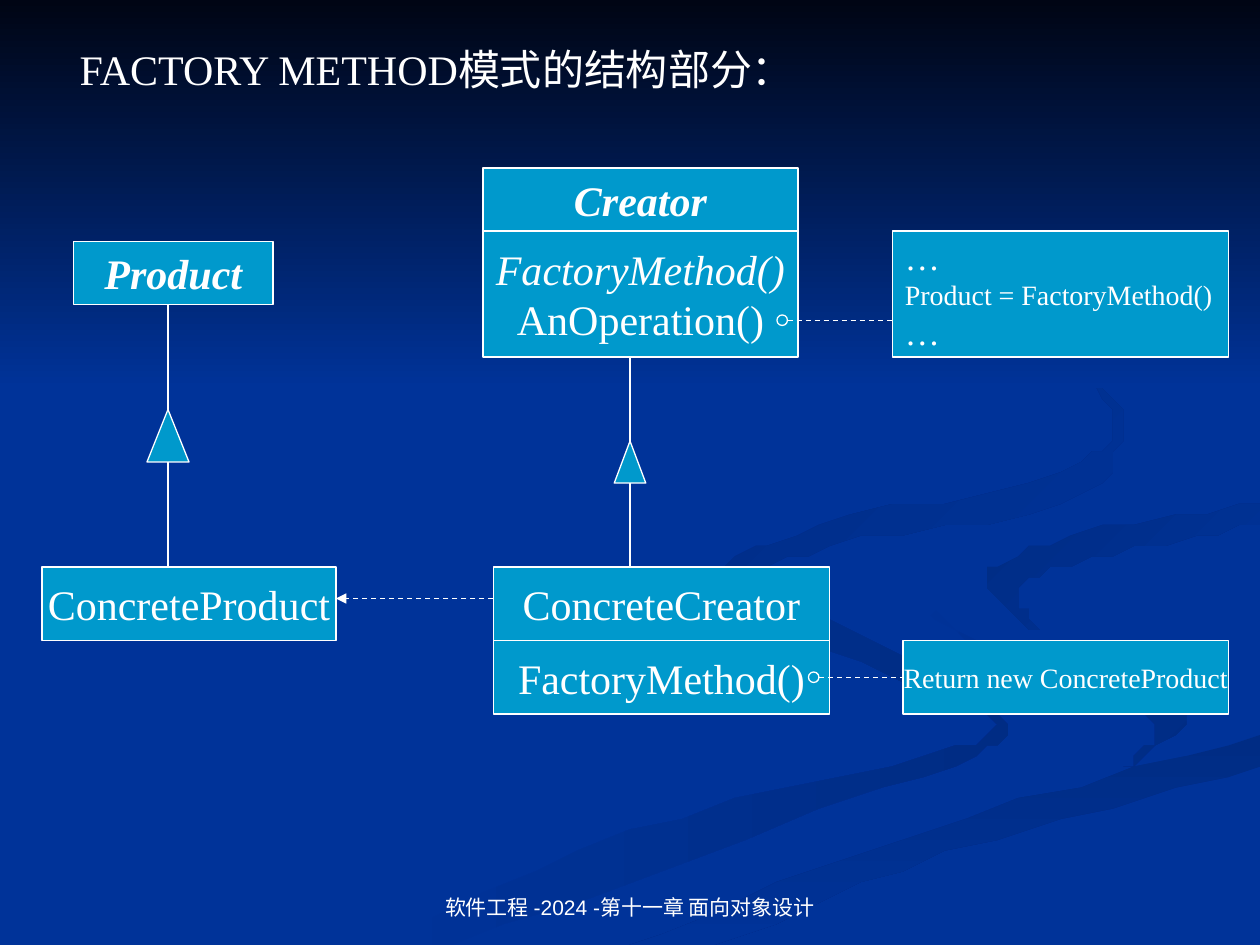
from dataclasses import dataclass

from pptx import Presentation
from pptx import util as u
from pptx.dml.color import RGBColor
from pptx.enum import dml, shapes, text
from pptx.oxml import ns
from lxml import etree

COLUMNS, ROWS = 120, 90  # the layout grid
CELL = u.Inches(10) / COLUMNS


@dataclass(frozen=True)
class Theme:
    ground: str = "003399"
    night: str = "000514"
    shade: str = "002C84"
    panel: str = "0099CC"
    ink: str = "FFFFFF"
    serif: str = "Times New Roman"
    sans: str = "Arial"
    large: int = 24
    dots: int = 20
    note: int = 16
    footer: int = 12
    stroke: float = 0.75


THEME = Theme()


def cells(*numbers):
    return [u.Emu(round(number * CELL)) for number in numbers]


def rgb(value):
    return RGBColor.from_string(value)


def smooth(knots, steps=6):
    """Closed Catmull-Rom curve through the knots, kept on the grid."""
    curve = []
    for index in range(len(knots)):
        around = [knots[(index + shift) % len(knots)] for shift in (-1, 0, 1, 2)]
        for step in range(steps):
            t = step / steps
            point = [
                b + t * (c - a + t * (2 * a - 5 * b + 4 * c - d
                                      + t * (3 * b - 3 * c + d - a))) / 2
                for a, b, c, d in zip(*around)]
            curve.append((min(point[0], COLUMNS), min(point[1], ROWS)))
    return curve


def fade(shape, first, last, angle):
    """Gradient fill; the angle runs counter-clockwise."""
    shape.shadow.inherit = False
    shape.line.fill.background()
    shape.fill.gradient()
    shape.fill.gradient_angle = angle
    for stop, color in zip(shape.fill.gradient_stops, (first, last)):
        stop.color.rgb = rgb(color)


def add_ribbon(page, knots, colors, angle):
    outline = smooth(knots)
    builder = page.shapes.build_freeform(*outline[0], scale=CELL)
    builder.add_line_segments(outline[1:], close=True)
    fade(builder.convert_to_shape(), *colors, angle)


def add_backdrop(page):
    page.background.fill.solid()
    page.background.fill.fore_color.rgb = rgb(THEME.ground)
    emerging, fading = (THEME.ground, THEME.shade), (THEME.shade, THEME.ground)
    add_ribbon(page, [(36, 90), (60, 79), (88, 72), (94, 68), (76, 61), (69, 55),
                      (90, 65), (96, 70), (84, 75), (43, 90)], emerging, 0)
    add_ribbon(page, [(113, 68), (104, 64), (91, 60), (87, 56), (92, 61),
                      (104, 65), (110, 70), (107, 73)], emerging, 315)
    add_ribbon(page, [(60, 90), (92, 78), (120, 70), (120, 73), (90, 81), (68, 90)],
               fading, 270)
    add_ribbon(page, [(94, 55), (99, 60), (97, 56), (106, 53), (120, 50), (120, 48),
                      (102, 51)], fading, 315)
    add_ribbon(page, [(91, 28), (103, 35), (107, 41), (101, 48), (79, 52), (71, 56),
                      (75, 60), (69, 55), (78, 50), (101, 45), (106, 40), (101, 33)],
               fading, 315)
    sky = page.shapes.add_shape(shapes.MSO_SHAPE.RECTANGLE, *cells(0, 0, COLUMNS, 37))
    fade(sky, THEME.night, THEME.ground, 270)


def write(frame, lines, align, face=THEME.serif, wrap=False):
    """Fill a frame with (words, size, style) lines; style may hold b and i."""
    frame.word_wrap = wrap
    for index, (words, size, style) in enumerate(lines):
        para = frame.paragraphs[0] if index == 0 else frame.add_paragraph()
        para.text = words
        para.alignment = align
        for span in para.runs:
            span.font.name, span.font.size = face, u.Pt(size)
            span.font.bold, span.font.italic = "b" in style, "i" in style
            span.font.color.rgb = rgb(THEME.ink)


def add_label(page, area, words, size, align, **options):
    box = page.shapes.add_textbox(*cells(*area))
    write(box.text_frame, [(words, size, "")], align, **options)
    return box


def add_panel(page, kind, *area):
    panel = page.shapes.add_shape(kind, *cells(*area))
    panel.shadow.inherit = False
    panel.fill.solid()
    panel.fill.fore_color.rgb = rgb(THEME.panel)
    panel.line.color.rgb = rgb(THEME.ink)
    panel.line.width = u.Pt(THEME.stroke)


    return panel


def add_class_box(page, area, lines, align=text.PP_ALIGN.CENTER):
    box = add_panel(page, shapes.MSO_SHAPE.RECTANGLE, *area)
    box.text_frame.vertical_anchor = text.MSO_ANCHOR.MIDDLE
    write(box.text_frame, lines, align)


def add_link(page, start, end, dashed=False, arrow=False):
    link = page.shapes.add_connector(shapes.MSO_CONNECTOR.STRAIGHT, *cells(*start, *end))
    link.line.color.rgb = rgb(THEME.ink)
    link.line.width = u.Pt(THEME.stroke)
    if dashed:
        link.line.dash_style = dml.MSO_LINE.DASH
    properties = link._element.spPr
    if arrow:
        outline = properties.find(ns.qn("a:ln"))
        etree.SubElement(outline, ns.qn("a:tailEnd"), type="triangle")
    etree.SubElement(properties, ns.qn("a:effectLst"))


def add_inheritance(page, x, parent, child, top, width, height):
    """Vertical link from parent row to child row, broken by a triangle."""
    add_link(page, (x, parent), (x, top))
    add_panel(page, shapes.MSO_SHAPE.ISOSCELES_TRIANGLE, x - width / 2, top, width, height)
    add_link(page, (x, top + height), (x, child))


def add_note_link(page, x, y, end):
    add_panel(page, shapes.MSO_SHAPE.OVAL, x, y, 1, 1)
    add_link(page, (x + 1, y + 0.5), (end, y + 0.5), dashed=True)


def main():
    deck = Presentation()
    deck.slide_width, deck.slide_height = cells(COLUMNS, ROWS)
    page = deck.slides.add_slide(deck.slide_layouts[6])
    add_backdrop(page)

    footer = add_label(page, (41, 82, 38, 6.2), "软件工程 -2024 -第十一章 面向对象设计",
                       THEME.footer, text.PP_ALIGN.CENTER, face=THEME.sans, wrap=True)
    footer.text_frame.vertical_anchor = text.MSO_ANCHOR.BOTTOM
    add_label(page, (6.4, 3.6, 72, 6), "FACTORY METHOD模式的结构部分：",
              THEME.large, text.PP_ALIGN.LEFT)

    big, small, dots = THEME.large, THEME.note, ("…", THEME.dots, "")
    add_class_box(page, (7, 23, 19, 6), [("Product", big, "bi")])
    add_class_box(page, (4, 54, 28, 7), [("ConcreteProduct", big, "")])
    add_class_box(page, (46, 16, 30, 6), [("Creator", big, "bi")])
    add_class_box(page, (46, 22, 30, 12),
                  [("FactoryMethod()", big, "i"), ("AnOperation()", big, "")])
    add_class_box(page, (47, 54, 32, 7), [("ConcreteCreator", big, "")])
    add_class_box(page, (47, 61, 32, 7), [("FactoryMethod()", big, "")])
    add_class_box(page, (85, 22, 32, 12),
                  [dots, ("Product = FactoryMethod()", small, ""), dots], text.PP_ALIGN.LEFT)
    add_class_box(page, (86, 61, 31, 7), [("Return new ConcreteProduct", small, "")])

    add_inheritance(page, x=16, parent=29, child=54, top=39, width=4, height=5)
    add_inheritance(page, x=60, parent=34, child=54, top=42, width=3, height=4)
    add_link(page, (47, 57), (32, 57), dashed=True, arrow=True)
    add_note_link(page, 74, 30, end=85)
    add_note_link(page, 77, 64, end=86)
    deck.save("out.pptx")


if __name__ == "__main__":
    main()
